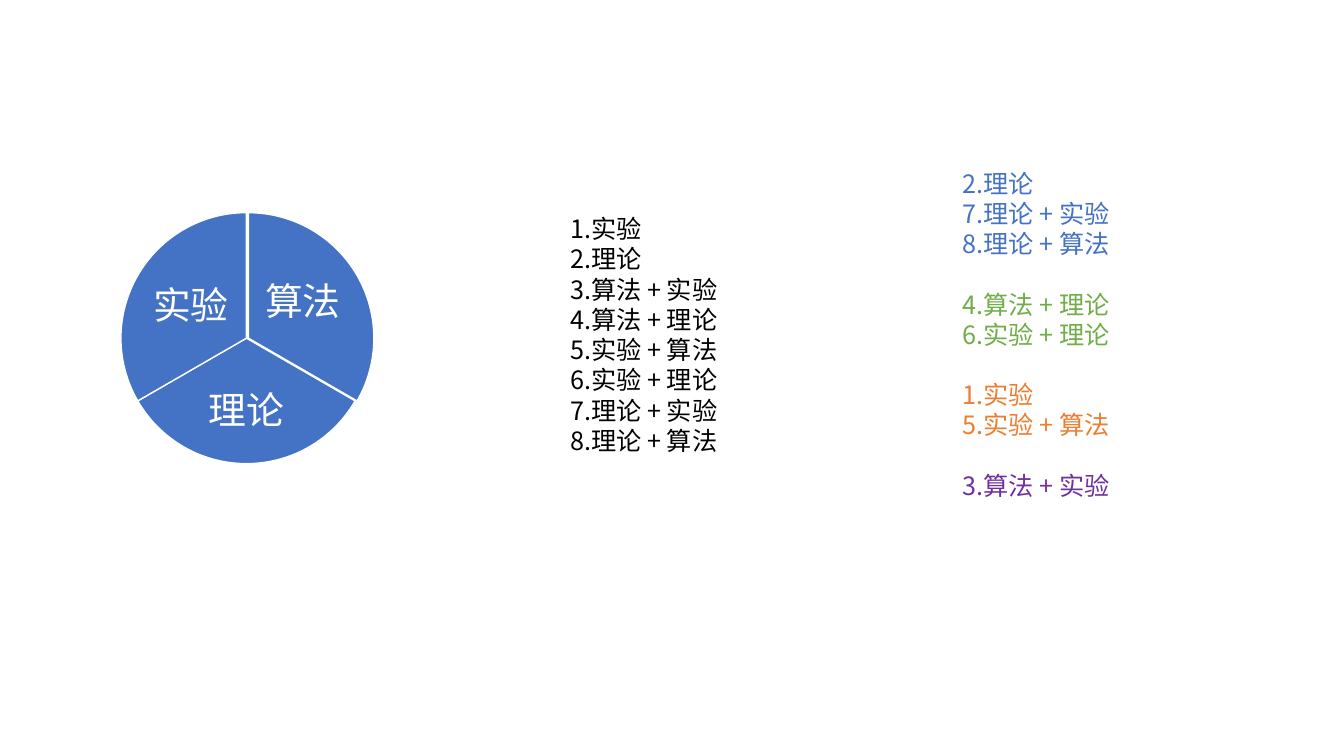
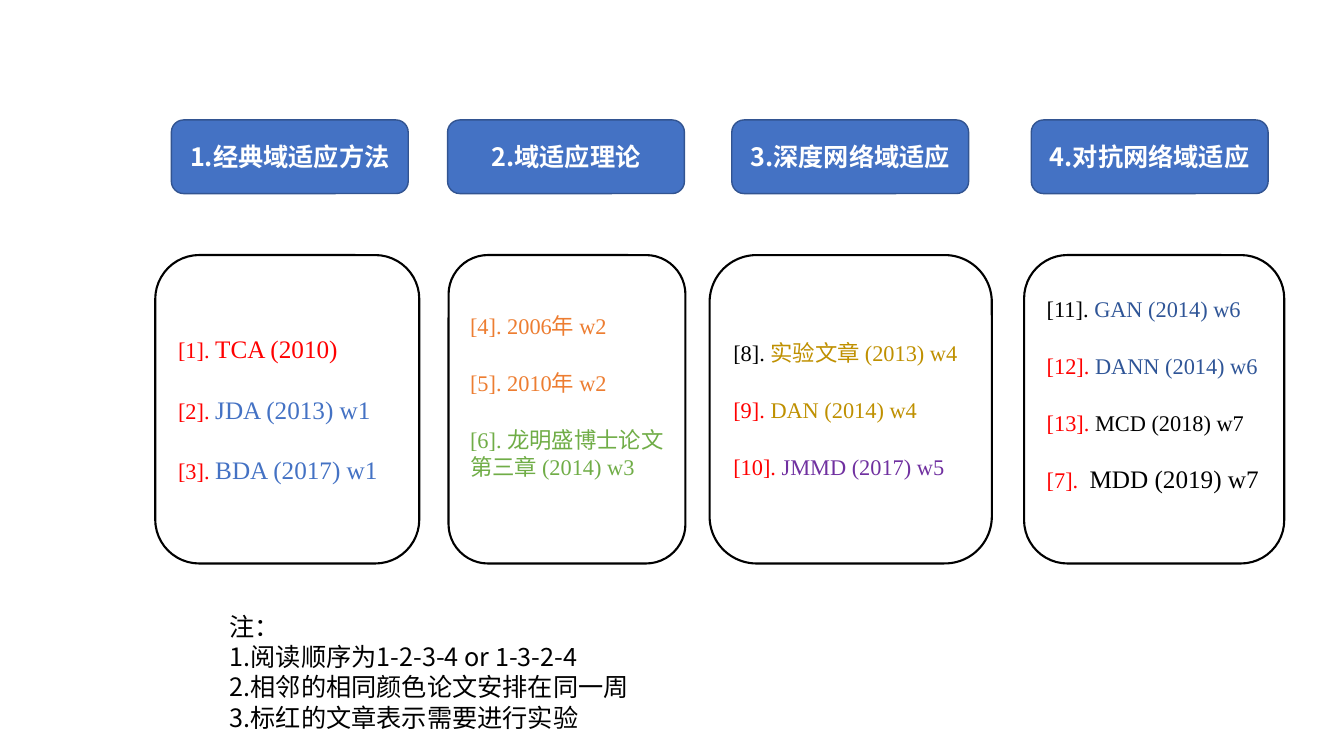
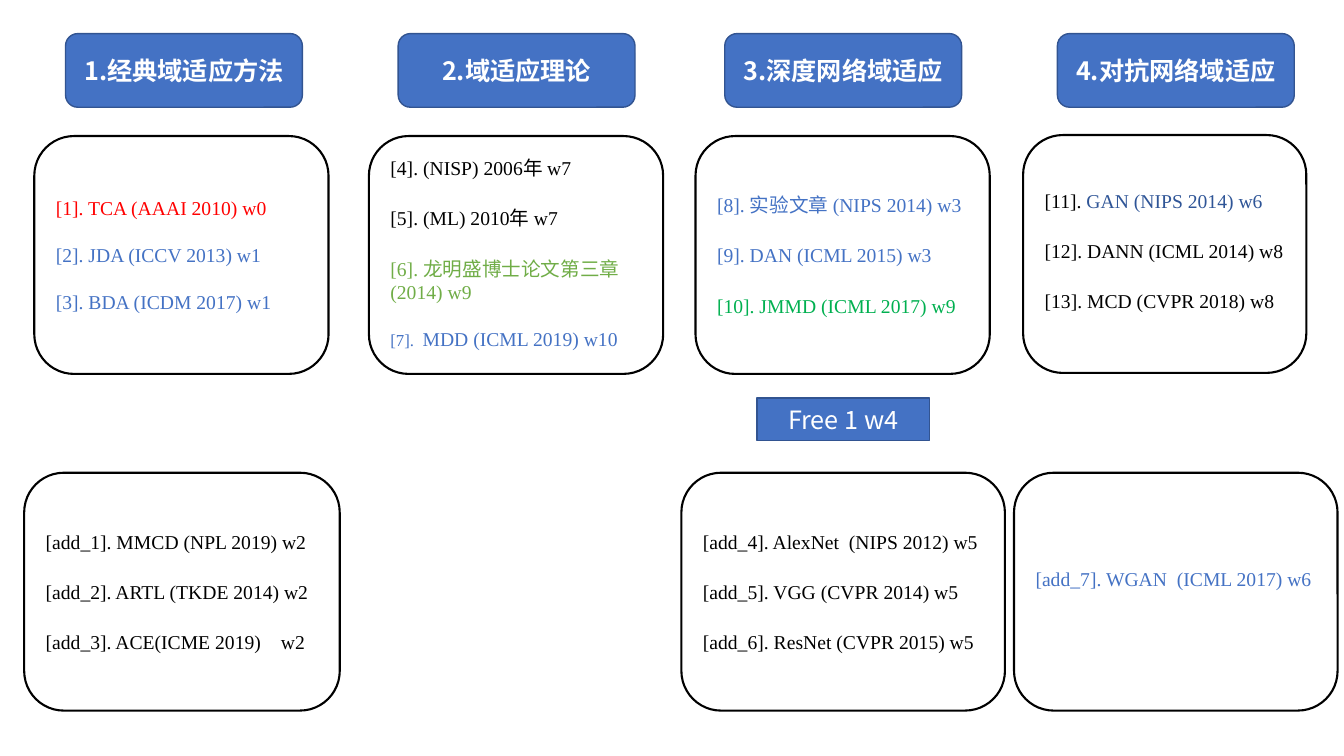
from lxml.etree import SubElement
from pptx import Presentation
from pptx.dml.color import RGBColor
from pptx.enum.shapes import MSO_SHAPE as Preset
from pptx.enum.text import MSO_ANCHOR as Anchor, PP_ALIGN as Align
from pptx.oxml.ns import qn
from pptx.util import Pt

COLORS = {
    "white": "FFFFFF", "black": "000000", "blue": "4472C4", "edge": "325491",
    "navy": "2F5597", "red": "FF0000", "orange": "ED7D31", "gold": "BF9000",
    "green": "70AD47", "emerald": "00B050", "purple": "7030A0",
}
SANS, SERIF = "Noto Sans CJK SC", "Times New Roman"
LEADING = 1.2
STYLES = {
    "title": {"preset": Preset.ROUNDED_RECTANGLE, "fill": "blue", "line": ("edge", 1),
              "font": {"name": SANS, "bold": True}, "align": Align.CENTER, "anchor": Anchor.MIDDLE},
    "badge": {"preset": Preset.RECTANGLE, "fill": "blue", "line": ("edge", 1),
              "font": {"name": SANS}, "align": Align.CENTER, "anchor": Anchor.MIDDLE},
    "card": {"preset": Preset.ROUNDED_RECTANGLE, "fill": None, "line": ("black", 1.5),
             "font": {"name": SERIF}, "align": Align.LEFT, "anchor": Anchor.MIDDLE},
    "pie": {"preset": Preset.PIE, "fill": "blue", "line": ("white", 1)},
    "label": {"preset": None, "font": {"name": SANS}, "align": Align.CENTER, "anchor": Anchor.MIDDLE},
    "note": {"preset": None, "font": {"name": SANS}, "align": Align.LEFT, "anchor": Anchor.TOP},
}


def color(name):
    return RGBColor.from_string(COLORS[name])


def add_box(page, kind, frame, paras=(), size=18, lift=0, tab=0):
    style = STYLES[kind]
    frame = [Pt(value) for value in frame]
    if style["preset"] is None:
        box = page.shapes.add_textbox(*frame)
    else:
        box = page.shapes.add_shape(style["preset"], *frame)
        box.shadow.inherit = False
        if style["fill"]:
            box.fill.solid()
            box.fill.fore_color.rgb = color(style["fill"])
        else:
            box.fill.background()
        line_color, line_width = style["line"]
        box.line.color.rgb = color(line_color)
        box.line.width = Pt(line_width)
    if not paras:
        return box
    text = box.text_frame
    layout = {"word_wrap": True, "vertical_anchor": style["anchor"],
              "margin_bottom": Pt(3.6 + LEADING * lift)}
    for key, value in layout.items():
        setattr(text, key, value)
    for index, (gap, *spans) in enumerate(paras):
        para = text.add_paragraph() if index else text.paragraphs[0]
        sizes = [rest[0] if rest else size for _, _, *rest in spans]
        spacing = {"alignment": style["align"], "line_spacing": Pt(LEADING * max(sizes)),
                   "space_before": Pt(LEADING * gap)}
        for key, value in spacing.items():
            setattr(para, key, value)
        for (words, ink, *_), span_size in zip(spans, sizes):
            span = para.add_run()
            span.text = words
            for key, value in {**style["font"], "size": Pt(span_size)}.items():
                setattr(span.font, key, value)
            span.font.color.rgb = color(ink)
            SubElement(span._r.get_or_add_rPr(), qn("a:ea"), typeface=SANS)
            if "\t" in words:
                stops = SubElement(para._p.get_or_add_pPr(), qn("a:tabLst"))
                SubElement(stops, qn("a:tab"), pos=str(Pt(tab)), algn="l")
    return box


deck = Presentation()
deck.slide_width, deck.slide_height = Pt(960), Pt(540)
overview, plan, schedule = [deck.slides.add_slide(deck.slide_layouts[6]) for _ in range(3)]

sectors = [
    ("算法", 87.8, 270, 30, (185.8, 185, 61.2, 59.8)),
    ("理论", 86.4, 30, 150, (135.4, 265, 81.4, 55.4)),
    ("实验", 86.4, 150, 270, (105.8, 187.2, 61.2, 59.8)),
]
for words, left, start, end, label_frame in sectors:
    pie = add_box(overview, "pie", (left, 151.9, 179.3, 179.3))
    pie.adjustments[0], pie.adjustments[1] = start * 0.6, end * 0.6
    label = add_box(overview, "label", label_frame, [(0, (words, "white"))], size=27)
    for side in ("left", "right", "top", "bottom"):
        setattr(label.text_frame, f"margin_{side}", Pt(2.9))

topics = ["1.实验", "2.理论", "3.算法 + 实验", "4.算法 + 理论",
          "5.实验 + 算法", "6.实验 + 理论", "7.理论 + 实验", "8.理论 + 算法"]
add_box(overview, "note", (400.3, 149, 146.9, 181.4), [(0, (topic, "black")) for topic in topics])
groups = [("blue", (2, 7, 8)), ("green", (4, 6)), ("orange", (1, 5)), ("purple", (3,))]
grouped = [
    (18 if place == 0 and ink != "blue" else 0, (topics[number - 1], ink))
    for ink, numbers in groups for place, number in enumerate(numbers)
]
add_box(overview, "note", (680.4, 116.4, 146.9, 247), grouped)

titles = ["1.经典域适应方法", "2.域适应理论", "3.深度网络域适应", "4.对抗网络域适应"]
for page, top, lefts in [
    (plan, 85.7, (122.4, 319.7, 522.7, 736.6)),
    (schedule, 24, (46.8, 284.4, 517.7, 755.3)),
]:
    for title, left in zip(titles, lefts):
        add_box(page, "title", (left, top, 169.2, 52.6), [(0, (title, "white"))])

plan_cards = [
    (110.9, 188.6, 0, [
        (0, ("[1]. ", "red"), ("TCA (2010)", "red", 18)),
        (18, ("[2]. ", "red"), ("JDA (2013) w1", "blue", 18)),
        (18, ("[3]. ", "red"), ("BDA (2017) w1", "blue", 18)),
    ]),
    (320.4, 169.2, 16, [
        (0, ("[4]. 2006年 w2", "orange")),
        (18, ("[5]. 2010年 w2", "orange")),
        (18, ("[6]. 龙明盛博士论文第三章 (2014) w3", "green")),
    ]),
    (506.9, 201.6, 0, [
        (0, ("[8]. ", "black"), ("实验文章 (2013) w4", "gold")),
        (18, ("[9]. ", "red"), ("DAN (2014) w4", "gold")),
        (18, ("[10]. ", "red"), ("JMMD (2017) w5", "purple")),
    ]),
    (731.5, 185.8, 18, [
        (0, ("[11]. ", "black"), ("GAN (2014) w6", "navy")),
        (18, ("[12]. ", "red"), ("DANN (2014) w6", "navy")),
        (18, ("[13]. ", "red"), ("MCD (2018) w7", "black")),
        (16, ("[7].  ", "red"), ("MDD (2019) w7", "black", 18)),
    ]),
]
for left, width, lift, paras in plan_cards:
    add_box(plan, "card", (left, 182.2, width, 220.3), paras, size=16, lift=lift)

notes = ["注：", "1.阅读顺序为1-2-3-4 or 1-3-2-4",
         "2.相邻的相同颜色论文安排在同一周", "3.标红的文章表示需要进行实验"]
add_box(plan, "note", (157, 433, 462.2, 94.3), [(0, (note, "black")) for note in notes])

schedule_cards = [
    (24.5, 97.2, 210.2, 0, [
        (0, ("[1]. TCA (AAAI 2010) w0", "red")),
        (14, ("[2]. JDA (ICCV 2013) w1", "blue")),
        (14, ("[3]. BDA (ICDM 2017) w1", "blue")),
    ]),
    (263.5, 97.2, 210.2, 2, [
        (0, ("[4]. (NISP) 2006年 w7", "black")),
        (16, ("[5]. (ML) 2010年 w7", "black")),
        (16, ("[6]. 龙明盛博士论文第三章 (2014) w9", "green")),
        (14, ("[7].  ", "blue", 12), ("MDD (ICML 2019) w10", "blue")),
    ]),
    (496.8, 97.2, 210.2, 0, [
        (0, ("[8]. 实验文章 (NIPS 2014) w3", "blue")),
        (16, ("[9]. DAN (ICML 2015) w3", "blue")),
        (16, ("[10]. JMMD (ICML 2017) w9", "emerald")),
    ]),
    (730.8, 96.5, 202.3, 4, [
        (0, ("[11]. ", "black"), ("GAN (NIPS 2014) w6", "navy")),
        (16, ("[12]. DANN (ICML 2014) w8", "black")),
        (16, ("[13]. MCD (CVPR 2018) w8", "black")),
    ]),
    (17.3, 337.7, 225.4, 0, [
        (0, ("[add_1]. MMCD (NPL 2019) w2", "black")),
        (16, ("[add_2]. ARTL (TKDE 2014) w2", "black")),
        (16, ("[add_3]. ACE(ICME 2019)\tw2", "black")),
    ]),
    (486.7, 337.7, 231.1, 0, [
        (0, ("[add_4]. AlexNet  (NIPS 2012) w5", "black")),
        (16, ("[add_5]. VGG (CVPR 2014) w5", "black")),
        (16, ("[add_6]. ResNet (CVPR 2015) w5", "black")),
    ]),
    (724.3, 337.7, 231.1, 16, [
        (0, ("[add_7]. WGAN  (ICML 2017) w6", "blue")),
    ]),
]
for left, top, width, lift, paras in schedule_cards:
    add_box(schedule, "card", (left, top, width, 169.9), paras, size=14, lift=lift, tab=168)
add_box(schedule, "badge", (540.7, 284.4, 123.1, 30.2), [(0, ("Free 1 w4", "white"))])

deck.save("out.pptx")
